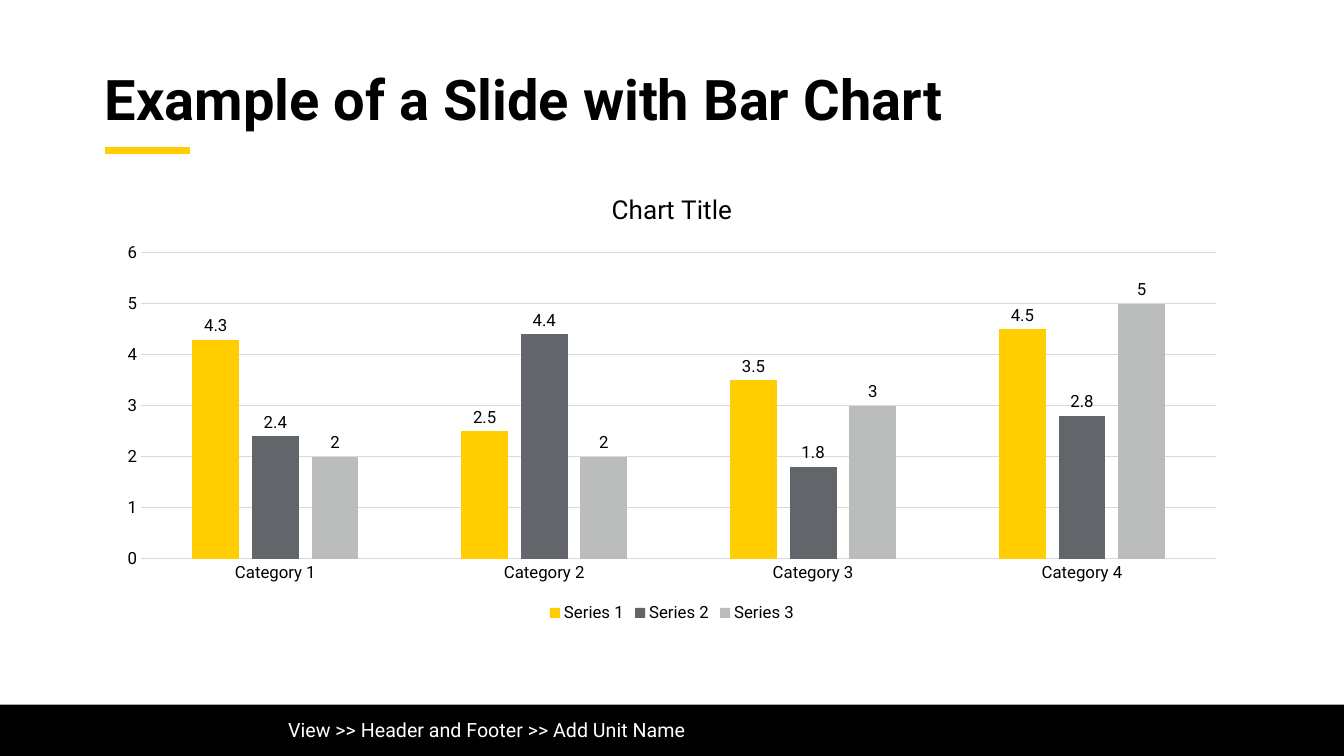
from pptx import Presentation
from pptx.chart.data import CategoryChartData
from pptx.dml.color import RGBColor
from pptx.enum.chart import XL_CHART_TYPE, XL_LABEL_POSITION, XL_LEGEND_POSITION, XL_TICK_MARK
from pptx.enum.shapes import MSO_CONNECTOR, MSO_SHAPE
from pptx.enum.text import MSO_ANCHOR
from pptx.oxml.ns import qn
from pptx.util import Inches, Pt
from lxml import etree

COLUMNS = XL_CHART_TYPE.COLUMN_CLUSTERED
OUTSIDE_END = XL_LABEL_POSITION.OUTSIDE_END
LEGEND_BOTTOM = XL_LEGEND_POSITION.BOTTOM
NO_TICK = XL_TICK_MARK.NONE
STRAIGHT = MSO_CONNECTOR.STRAIGHT
RECTANGLE = MSO_SHAPE.RECTANGLE
MIDDLE = MSO_ANCHOR.MIDDLE

BLACK = RGBColor(0x00, 0x00, 0x00)
WHITE = RGBColor(0xFF, 0xFF, 0xFF)
GOLD = RGBColor(0xFF, 0xCD, 0x00)
SLATE = RGBColor(0x62, 0x66, 0x6A)
SILVER = RGBColor(0xBB, 0xBC, 0xBC)
GRID_GRAY = RGBColor(0xD9, 0xD9, 0xD9)

FONT = "Roboto"
PAGE_WIDTH, PAGE_HEIGHT = 13.33, 7.5
MARGIN, CONTENT_WIDTH = 1.04, 11.25

CATEGORIES = ["Category 1", "Category 2", "Category 3", "Category 4"]
SERIES = [
    ("Series 1", (4.3, 2.5, 3.5, 4.5), GOLD),
    ("Series 2", (2.4, 4.4, 1.8, 2.8), SLATE),
    ("Series 3", (2, 2, 3, 5), SILVER),
]


def style_font(font, size, color=BLACK, bold=False):
    font.name = FONT
    font.size = Pt(size)
    font.bold = bold
    font.color.rgb = color


def style_line(line, color=GRID_GRAY, width=0.75):
    line.color.rgb = color
    line.width = Pt(width)


def add_text(page, text, left, top, width, height, size, color, bold=False):
    box = page.shapes.add_textbox(Inches(left), Inches(top), Inches(width), Inches(height))
    frame = box.text_frame
    frame.word_wrap = True
    frame.vertical_anchor = MIDDLE
    frame.text = text
    style_font(frame.paragraphs[0].runs[0].font, size, color, bold)
    return frame


def add_heading(page, left, top, width, height):
    frame = add_text(page, "Example of a Slide with Bar Chart",
                     left, top, width, height, 40, BLACK, True)
    frame.margin_left = frame.margin_right = frame.margin_top = frame.margin_bottom = 0
    frame.paragraphs[0].line_spacing = 0.9
    bottom = Inches(top + height)
    accent = page.shapes.add_connector(STRAIGHT, Inches(left), bottom, Inches(left + 0.84), bottom)
    style_line(accent.line, GOLD, 5)
    etree.SubElement(accent.element.spPr, qn("a:effectLst"))


def add_bar_chart(page, left, top, width, height):
    data = CategoryChartData()
    data.categories = CATEGORIES
    for name, values, color in SERIES:
        data.add_series(name, values)
    chart = page.shapes.add_chart(COLUMNS, Inches(left), Inches(top),
                                  Inches(width), Inches(height), data).chart
    style_font(chart.font, 10)

    chart.has_title = True
    title = chart.chart_title
    title.include_in_layout = False
    title.text_frame.text = "Chart Title"
    style_font(title.text_frame.paragraphs[0].runs[0].font, 18.6)

    chart.has_legend = True
    chart.legend.position = LEGEND_BOTTOM
    chart.legend.include_in_layout = False
    style_font(chart.legend.font, 12)

    for axis in (chart.category_axis, chart.value_axis):
        axis.major_tick_mark = axis.minor_tick_mark = NO_TICK
        style_font(axis.tick_labels.font, 12)
    style_line(chart.category_axis.format.line)
    chart.value_axis.format.line.fill.background()
    chart.value_axis.minimum_scale = 0
    chart.value_axis.maximum_scale = 6
    chart.value_axis.major_unit = 1
    style_line(chart.value_axis.major_gridlines.format.line)

    plot = chart.plots[0]
    plot.gap_width = 219
    plot.overlap = -27
    plot.vary_by_categories = False
    for series, (name, values, color) in zip(plot.series, SERIES):
        series.format.fill.solid()
        series.format.fill.fore_color.rgb = color
        labels = series.data_labels
        labels.show_value = True
        labels.position = OUTSIDE_END
        style_font(labels.font, 12)


def add_footer(page, left, top, width, height):
    band = page.shapes.add_shape(RECTANGLE, Inches(left), Inches(top), Inches(width), Inches(height))
    band.shadow.inherit = False
    band.fill.solid()
    band.fill.fore_color.rgb = BLACK
    band.line.fill.background()
    add_text(page, "View >> Header and Footer >> Add Unit Name",
             left + 2.76, top + 0.05, 9.5, 0.4, 14, WHITE)


def main():
    deck = Presentation()
    deck.slide_width = Inches(PAGE_WIDTH)
    deck.slide_height = Inches(PAGE_HEIGHT)
    page = deck.slides.add_slide(deck.slide_layouts[6])
    add_heading(page, MARGIN, 0.54, CONTENT_WIDTH, 0.95)
    add_bar_chart(page, MARGIN, 1.72, CONTENT_WIDTH, 4.5)
    add_footer(page, 0, 6.99, PAGE_WIDTH, 0.51)
    deck.save("out.pptx")


if __name__ == "__main__":
    main()
